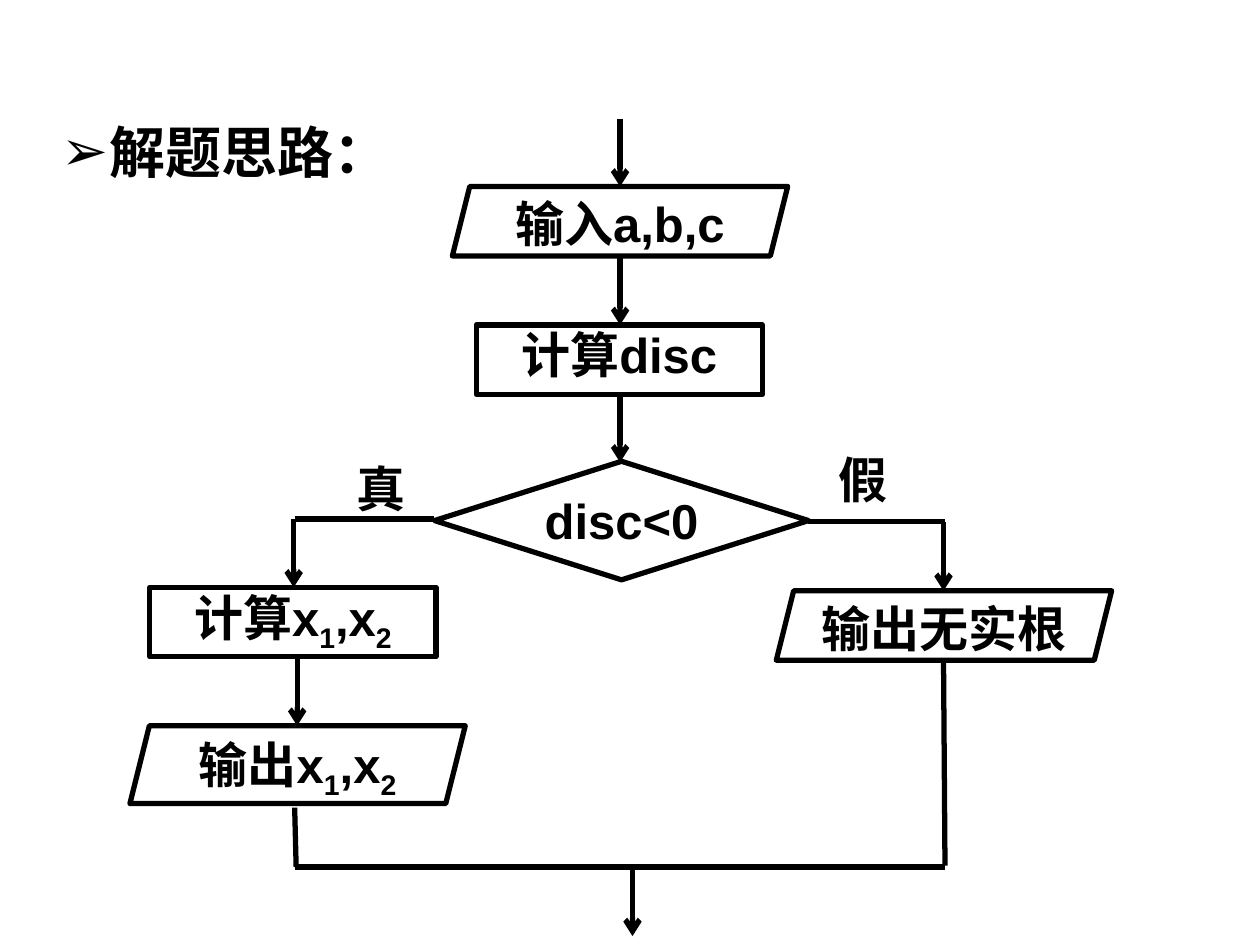
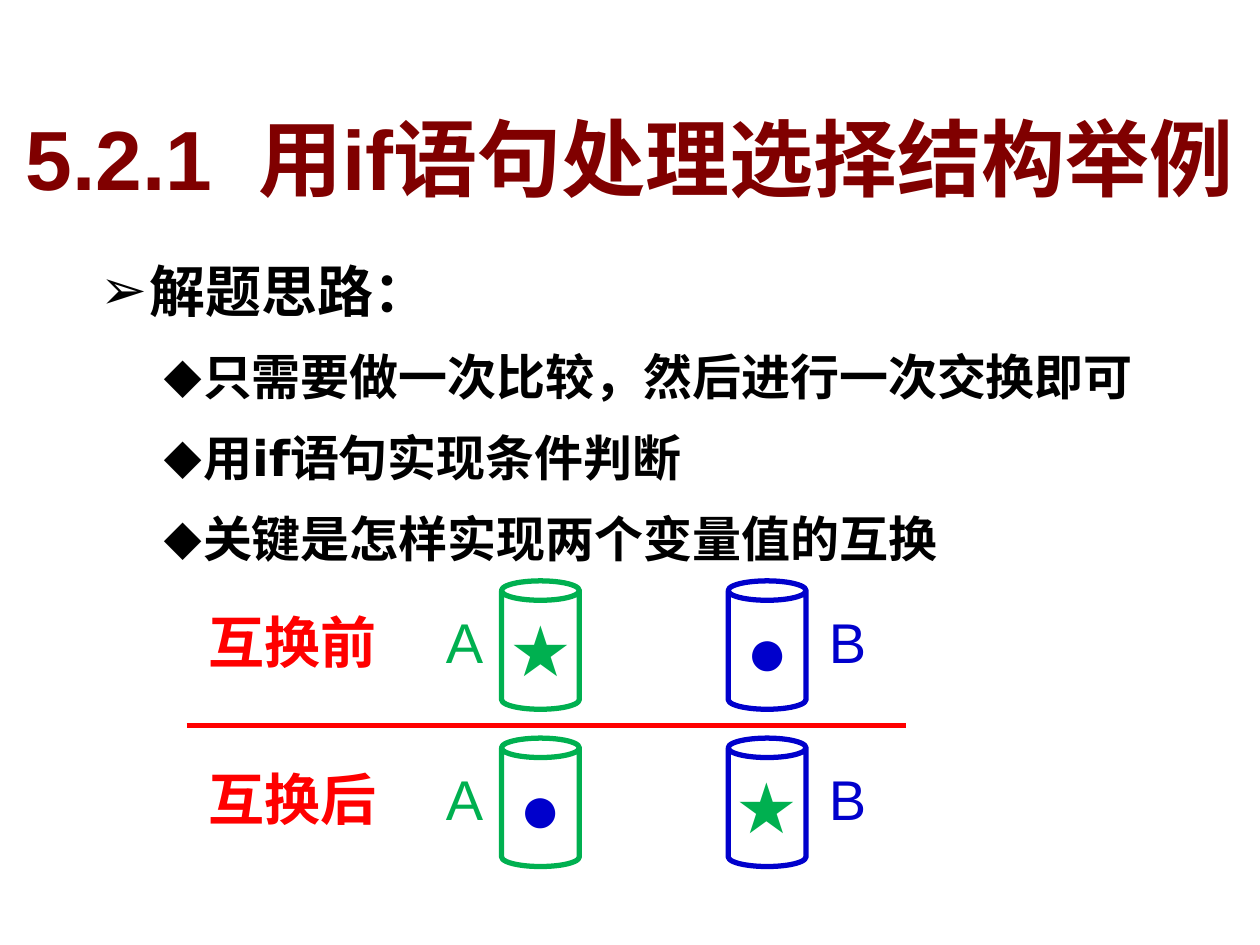
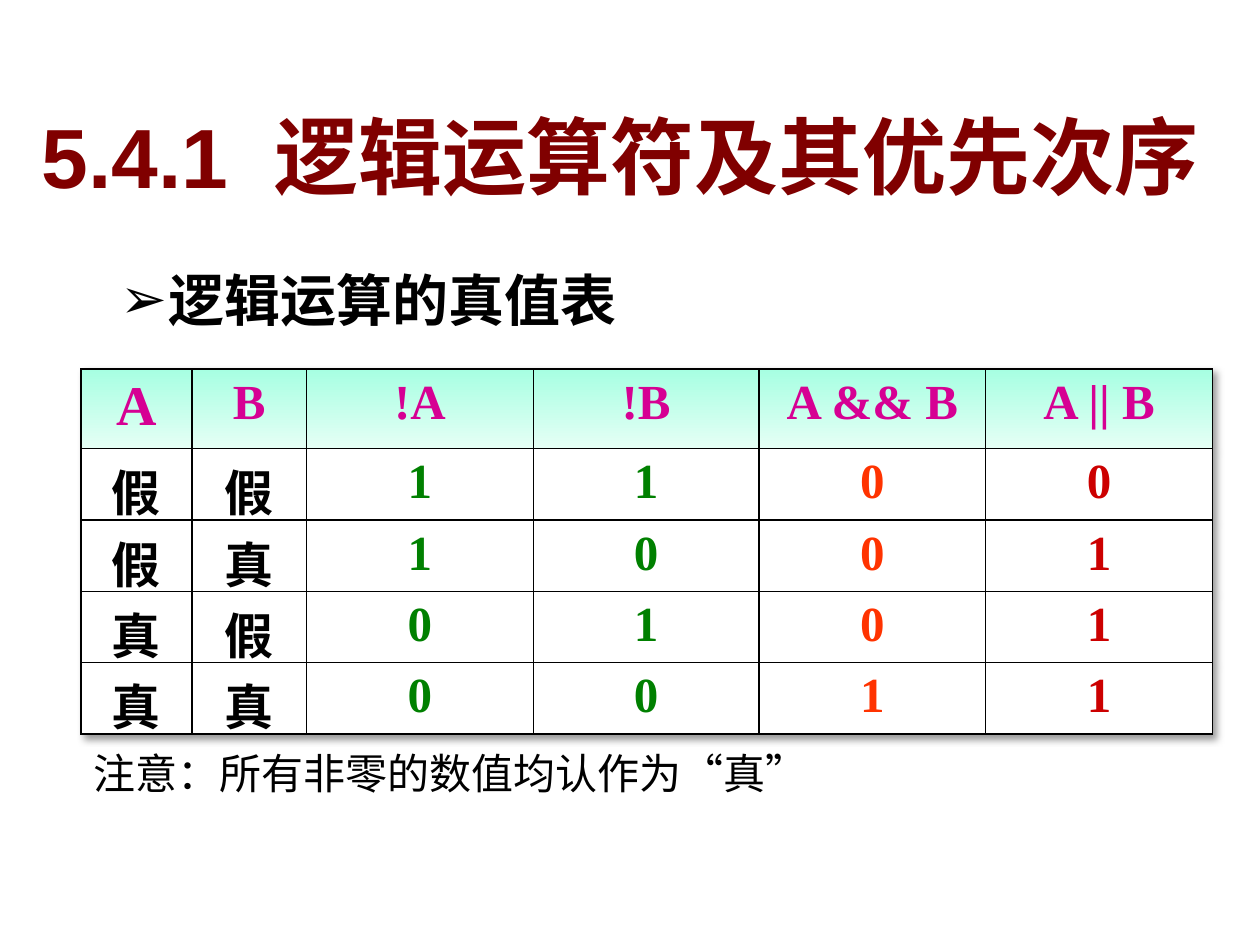
from lxml import etree
from pptx import Presentation
from pptx.dml.color import RGBColor
from pptx.enum.shapes import MSO_CONNECTOR, MSO_SHAPE
from pptx.enum.text import MSO_ANCHOR, MSO_AUTO_SIZE, PP_ALIGN
from pptx.oxml import parse_xml
from pptx.oxml.ns import qn
from pptx.util import Cm, Pt

STRAIGHT = MSO_CONNECTOR.STRAIGHT
DATA = MSO_SHAPE.PARALLELOGRAM
PROCESS = MSO_SHAPE.FLOWCHART_PROCESS
DECISION = MSO_SHAPE.FLOWCHART_DECISION
CAN = MSO_SHAPE.CAN
TOP, MIDDLE = MSO_ANCHOR.TOP, MSO_ANCHOR.MIDDLE
FIXED, GROW = MSO_AUTO_SIZE.NONE, MSO_AUTO_SIZE.SHAPE_TO_FIT_TEXT
LEFT, CENTER = PP_ALIGN.LEFT, PP_ALIGN.CENTER

BLACK, WHITE, RED = "000000", "FFFFFF", "FF0000"
MAROON, GREEN, BLUE = "800000", "00B050", "0000CC"
SANS, WIDE, SERIF = "Arial", "DejaVu Sans", "Times New Roman"
BULLETS = [("➢", 0.97, -0.97), ("◆", 2.06, -0.79)]
SUBSCRIPT = {"baseline": "-25000"}
SHADOW = (
    '<a:effectLst xmlns:a="http://schemas.openxmlformats.org/drawingml/2006/main">'
    '<a:outerShdw blurRad="{}" dist="38100" dir="2700000" algn="tl" rotWithShape="0">'
    '<a:srgbClr val="{}"/></a:outerShdw></a:effectLst>'
)


def rgb(color):
    return RGBColor.from_string(color)


def write(frame, text, size=28, color=BLACK, font=SANS, bold=True, align=LEFT,
          level=None, shadow=False):
    paragraph = frame.paragraphs[0]
    if paragraph.runs:
        paragraph = frame.add_paragraph()
    paragraph.alignment = align
    if level is not None:
        mark, margin, indent = BULLETS[level]
        paragraph.level = level
        paragraph.line_spacing = 1.2
        paragraph.space_before = Pt(6)
        properties = paragraph._p.get_or_add_pPr()
        properties.set("marL", str(Cm(margin)))
        properties.set("indent", str(Cm(indent)))
        etree.SubElement(properties, qn("a:buFont")).set("typeface", WIDE)
        etree.SubElement(properties, qn("a:buChar")).set("char", mark)
    for piece, attributes in [(text, {})] if isinstance(text, str) else text:
        run = paragraph.add_run()
        run.text = piece
        run.font.size = Pt(size)
        run.font.bold = bold
        run.font.color.rgb = rgb(color)
        run.font.name = font
        properties = run._r.get_or_add_rPr()
        for key, value in attributes.items():
            properties.set(key, value)
        if shadow:
            properties.find(qn("a:solidFill")).addnext(parse_xml(SHADOW.format(0, "DDDDDD")))


prs = Presentation()
prs.slide_width, prs.slide_height = Cm(25.4), Cm(19.05)
content, title_only = prs.slide_layouts[1], prs.slide_layouts[5]
flow = prs.slides.add_slide(content)
swap = prs.slides.add_slide(content)
truth = prs.slides.add_slide(title_only)
unused_title = flow.shapes.title._element
unused_title.getparent().remove(unused_title)

for slide, number, topic, x, y, w in [
    (swap, "5.2.1", "用if语句处理选择结构举例", 0.2, 2.01, 24.99),
    (truth, "5.4.1", "逻辑运算符及其优先次序", 0.58, 1.96, 23.83),
]:
    heading = slide.shapes.title
    heading.left, heading.top, heading.width, heading.height = Cm(x), Cm(y), Cm(w), Cm(2.31)
    heading.text_frame.vertical_anchor = MIDDLE
    heading.text_frame.auto_size = GROW
    write(heading.text_frame, [(number, {}), (" ", {"spc": "1300"}), (topic, {})],
          size=48, color=MAROON, align=CENTER, shadow=True)

for slide, x, y, w, h, points in [
    (flow, 0.99, 1.98, 7.54, 2.18, ["解题思路："]),
    (swap, 1.78, 4.78, 21.64, 7.14, [
        "解题思路：",
        "只需要做一次比较，然后进行一次交换即可",
        "用if语句实现条件判断",
        "关键是怎样实现两个变量值的互换",
    ]),
]:
    body = slide.placeholders[1]
    body.left, body.top, body.width, body.height = Cm(x), Cm(y), Cm(w), Cm(h)
    body.text_frame.auto_size = FIXED
    for position, point in enumerate(points):
        level = min(position, 1)
        write(body.text_frame, point, size=28 if level else 32, font=WIDE, level=level)

roots = [("1", SUBSCRIPT), (",x", {}), ("2", SUBSCRIPT)]
step = dict(align=CENTER)
outlined = [
    (flow, DATA, 9.12, 3.76, 6.76, 1.4, BLACK, 0, "输入a,b,c", step),
    (flow, PROCESS, 9.6, 6.55, 5.77, 1.4, BLACK, 0, "计算disc", step),
    (flow, DECISION, 8.76, 9.3, 7.54, 2.39, BLACK, 0, "disc<0", step),
    (flow, PROCESS, 3.02, 11.84, 5.77, 1.4, BLACK, 0, [("计算x", {})] + roots, step),
    (flow, DATA, 15.65, 11.91, 6.76, 1.4, BLACK, 0, "输出无实根", step),
    (flow, DATA, 2.62, 14.63, 6.76, 1.57, BLACK, 0, [("输出x", {})] + roots, step),
]
labels = [
    (flow, 6.93, 9.12, 1.4, 1.45, "真", {}),
    (flow, 16.66, 8.94, 1.4, 1.45, "假", {}),
    (truth, 2.18, 4.95, 12.12, 1.78, "逻辑运算的真值表", dict(size=32, level=0)),
    (truth, 1.63, 14.94, 17.07, 1.27, "注意：所有非零的数值均认作为“真”",
     dict(size=24, font=WIDE, bold=False)),
]
star, dot = ("★", GREEN), ("●", BLUE)
for row, (stage, contents) in enumerate([("互换前", (star, dot)), ("互换后", (dot, star))]):
    y = 11.71 + 3.17 * row
    labels.append((swap, 3.96, y + 0.41, 3.96, 1.63, stage, dict(size=32, color=RED)))
    for (name, color, can_x, name_x), (symbol, symbol_color) in zip(
            [("A", GREEN, 10.11, 8.74), ("B", BLUE, 14.68, 16.46)], contents):
        outlined.append((swap, CAN, can_x, y, 1.57, 2.59, color, 0.13, symbol,
                         dict(size=40, color=symbol_color, bold=False, align=CENTER)))
        labels.append((swap, name_x, y + 0.41, 1.19, 1.63, name,
                       dict(size=32, color=color, bold=False)))

for slide, preset, x, y, w, h, color, inset, text, style in outlined:
    box = slide.shapes.add_shape(preset, Cm(x), Cm(y), Cm(w), Cm(h))
    box.shadow.inherit = False
    box.fill.solid()
    box.fill.fore_color.rgb = rgb(WHITE)
    box.line.color.rgb = rgb(color)
    box.line.width = Pt(3)
    frame = box.text_frame
    frame.word_wrap = False
    frame.vertical_anchor = TOP
    frame.margin_left = frame.margin_right = Cm(inset * 2)
    frame.margin_top = frame.margin_bottom = Cm(inset)
    write(frame, text, **style)

for slide, x, y, w, h, text, style in labels:
    frame = slide.shapes.add_textbox(Cm(x), Cm(y), Cm(w), Cm(h)).text_frame
    frame.word_wrap = True
    frame.auto_size = GROW
    write(frame, text, **style)

for slide, x1, y1, x2, y2, color, arrow in [
    (flow, 12.5, 2.39, 12.5, 3.76, BLACK, True),
    (flow, 12.5, 5.16, 12.5, 6.55, BLACK, True),
    (flow, 12.5, 7.92, 12.5, 9.32, BLACK, True),
    (flow, 5.92, 10.46, 5.92, 11.84, BLACK, True),
    (flow, 19.02, 10.52, 19.02, 11.91, BLACK, True),
    (flow, 5.99, 13.23, 5.99, 14.63, BLACK, True),
    (flow, 12.75, 17.5, 12.75, 18.87, BLACK, True),
    (flow, 5.94, 10.46, 8.74, 10.46, BLACK, False),
    (flow, 16.28, 10.52, 19.05, 10.52, BLACK, False),
    (flow, 5.94, 17.48, 19.05, 17.48, BLACK, False),
    (flow, 19.05, 17.45, 19.02, 13.28, BLACK, False),
    (flow, 5.97, 17.48, 5.94, 16.28, BLACK, False),
    (swap, 3.76, 14.63, 18.26, 14.63, RED, False),
]:
    link = slide.shapes.add_connector(STRAIGHT, Cm(x1), Cm(y1), Cm(x2), Cm(y2))
    link.line.color.rgb = rgb(color)
    link.line.width = Pt(3)
    if arrow:
        etree.SubElement(link.line._get_or_add_ln(), qn("a:tailEnd")).set("type", "arrow")
    etree.SubElement(link._element.spPr, qn("a:effectLst"))

truth_rows = [
    ["A", "B", "!A", "!B", "A && B", "A || B"],
    ["假", "假", "1", "1", "0", "0"],
    ["假", "真", "1", "0", "0", "1"],
    ["真", "假", "0", "1", "0", "1"],
    ["真", "真", "0", "0", "1", "1"],
]
column_widths = [2.24, 2.31, 4.57, 4.55, 4.57, 4.57]
column_colors = [BLACK, BLACK, "008000", "008000", "FF3300", "CC0000"]
table = truth.shapes.add_table(5, 6, Cm(1.63), Cm(7.44), Cm(22.81), Cm(7.36)).table
table._tbl.tblPr.insert(0, parse_xml(SHADOW.format(50800, "999999")))
for column, width in zip(table.columns, column_widths):
    column.width = Cm(width)
for r, values in enumerate(truth_rows):
    table.rows[r].height = Cm(1.44 if r else 1.6)
    for c, value in enumerate(values):
        cell = table.cell(r, c)
        cell.margin_top, cell.margin_bottom = Cm(0.13), 0
        for side in ("a:lnL", "a:lnR", "a:lnT", "a:lnB"):
            border = etree.SubElement(cell._tc.get_or_add_tcPr(), qn(side), w=str(Pt(1)))
            ink = etree.SubElement(border, qn("a:solidFill"))
            etree.SubElement(ink, qn("a:srgbClr")).set("val", BLACK)
        if r:
            cell.fill.solid()
            cell.fill.fore_color.rgb = rgb(WHITE)
        else:
            cell.fill.gradient()
            cell.fill.gradient_angle = 270
            for stop, shade in zip(cell.fill.gradient_stops, ("A7FFE2", "E5FFF5")):
                stop.color.rgb = rgb(shade)
        write(cell.text_frame, value, size=32 if r == c == 0 else 28, font=SERIF,
              color=column_colors[c] if r else "D60093", align=CENTER)

prs.save("out.pptx")
